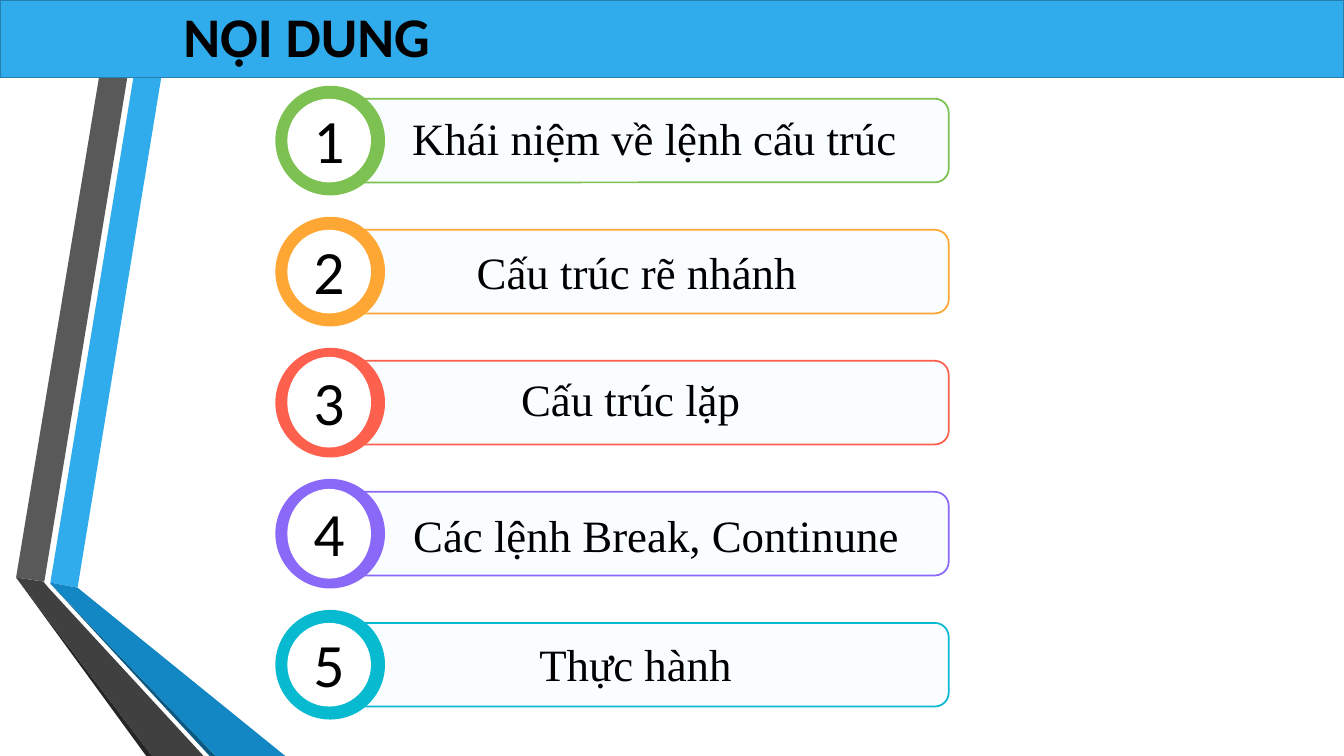
from dataclasses import dataclass

from pptx import Presentation
from pptx.dml.color import RGBColor
from pptx.enum.shapes import MSO_SHAPE
from pptx.util import Inches, Pt

COLORS = {
    "blue": "30ACEC", "blue_edge": "247FAF", "blue_dark": "1287C3", "blue_deep": "0C5A82",
    "gray": "595959", "gray_dark": "404040", "gray_deep": "262626",
    "green": "7DC152", "orange": "FFA735", "red": "FE604E", "purple": "8A69F9",
    "teal": "08BACF", "panel": "F9FDFF", "white": "FFFFFF", "black": "000000",
}


@dataclass(frozen=True)
class Ribbon:
    color: str
    points: tuple[tuple[float, float], ...]


@dataclass(frozen=True)
class Topic:
    text: str
    color: str
    left: float
    top: float
    width: float
    hole_shift: float = 0.12
    hole_height: float = 0.83


RIBBONS = (
    Ribbon("blue", ((0.5, 5.78), (0.77, 5.83), (1.6, 0.77), (1.73, 0), (1.45, 0))),
    Ribbon("gray", ((1.39, 0), (1.11, 0), (0.16, 5.73), (0.44, 5.77))),
    Ribbon("gray_deep", ((0.16, 5.73), (1.45, 7.5), (1.51, 7.5))),
    Ribbon("blue_deep", ((0.5, 5.79), (2.08, 7.5), (2.14, 7.5))),
    Ribbon("blue_dark", ((0.5, 5.79), (2.14, 7.5), (2.83, 7.5), (0.77, 5.83), (0.5, 5.78))),
    Ribbon("gray_dark", ((2.02, 7.5), (0.48, 5.83), (0.43, 5.77), (0.16, 5.73), (1.51, 7.5))),
)

TOPICS = (
    Topic("Khái niệm về lệnh cấu trúc", "green", 3.99, 1.05, 5.42),
    Topic("Cấu trúc rẽ nhánh", "orange", 4.63, 2.38, 3.51),
    Topic("Cấu trúc lặp", "red", 5.07, 3.64, 2.58, 0.08, 0.9),
    Topic("Các lệnh Break, Continune", "purple", 4.0, 4.99, 5.19, 0.09, 0.89),
    Topic("Thực hành", "teal", 5.25, 6.27, 2.21),
)
FIRST_TOP, ROW_PITCH = 0.86, 1.3

prs = Presentation()
prs.slide_width, prs.slide_height = Inches(13.33), Inches(7.5)
slide = prs.slides.add_slide(prs.slide_layouts[6])


def rgb(name: str) -> RGBColor:
    return RGBColor.from_string(COLORS[name])


def paint(shape, fill: str, line: str | None = None) -> None:
    shape.shadow.inherit = False
    shape.fill.solid()
    shape.fill.fore_color.rgb = rgb(fill)
    if line:
        shape.line.color.rgb = rgb(line)
        shape.line.width = Pt(1.25)
    else:
        shape.line.fill.background()


def add_box(kind: MSO_SHAPE, left: float, top: float, width: float, height: float,
            fill: str, line: str | None = None) -> None:
    shape = slide.shapes.add_shape(kind, Inches(left), Inches(top), Inches(width), Inches(height))
    paint(shape, fill, line)


def add_text(text: str, left: float, top: float, width: float, height: float,
             size: int, font: str, bold: bool = False) -> None:
    box = slide.shapes.add_textbox(Inches(left), Inches(top), Inches(width), Inches(height))
    box.text_frame.word_wrap = True
    run = box.text_frame.paragraphs[0].add_run()
    run.text = text
    run.font.size, run.font.name, run.font.bold = Pt(size), font, bold
    run.font.color.rgb = rgb("black")


def add_ribbon(ribbon: Ribbon) -> None:
    start, *rest = [(Inches(x), Inches(y)) for x, y in ribbon.points]
    builder = slide.shapes.build_freeform(*start)
    builder.add_line_segments(rest, close=True)
    paint(builder.convert_to_shape(), ribbon.color)


def add_topic(number: int, topic: Topic) -> None:
    top = FIRST_TOP + (number - 1) * ROW_PITCH
    add_box(MSO_SHAPE.ROUNDED_RECTANGLE, 3.44, top + 0.12, 5.97, 0.83, "panel", topic.color)
    add_box(MSO_SHAPE.OVAL, 2.74, top, 1.07, 1.07, topic.color, topic.color)
    add_box(MSO_SHAPE.OVAL, 2.85, top + topic.hole_shift, 0.83, topic.hole_height, "white")
    add_text(topic.text, topic.left, topic.top, topic.width, 0.64, 32, "Times New Roman")
    add_text(str(number), 3.01, top + 0.1, 0.45, 0.84, 44, "Calibri")


# Folded ribbons on the left
for ribbon in RIBBONS:
    add_ribbon(ribbon)

# Title band
add_box(MSO_SHAPE.RECTANGLE, 0, 0, 13.33, 0.77, "blue", "blue_edge")
add_text("NỘI DUNG", 1.72, -0.03, 7.74, 0.77, 40, "Calibri", bold=True)

# Numbered topics
for number, topic in enumerate(TOPICS, start=1):
    add_topic(number, topic)

prs.save("out.pptx")
